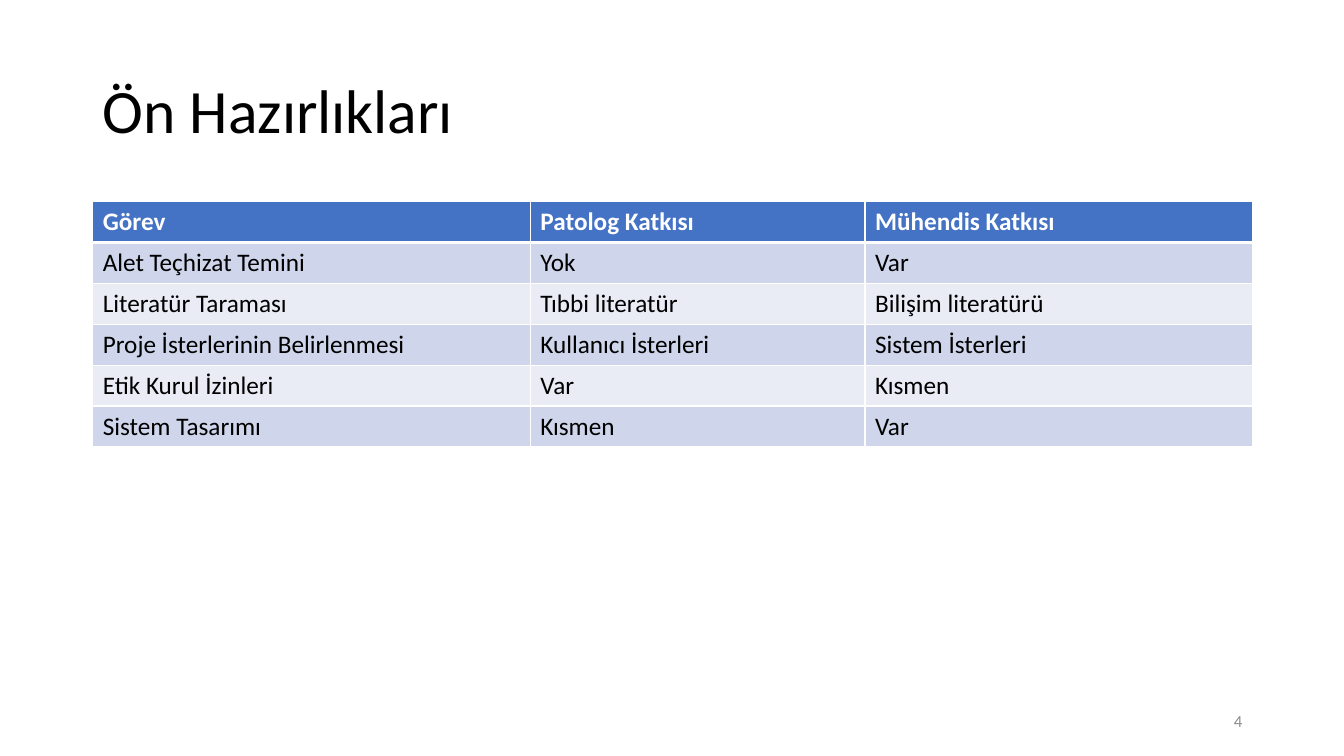
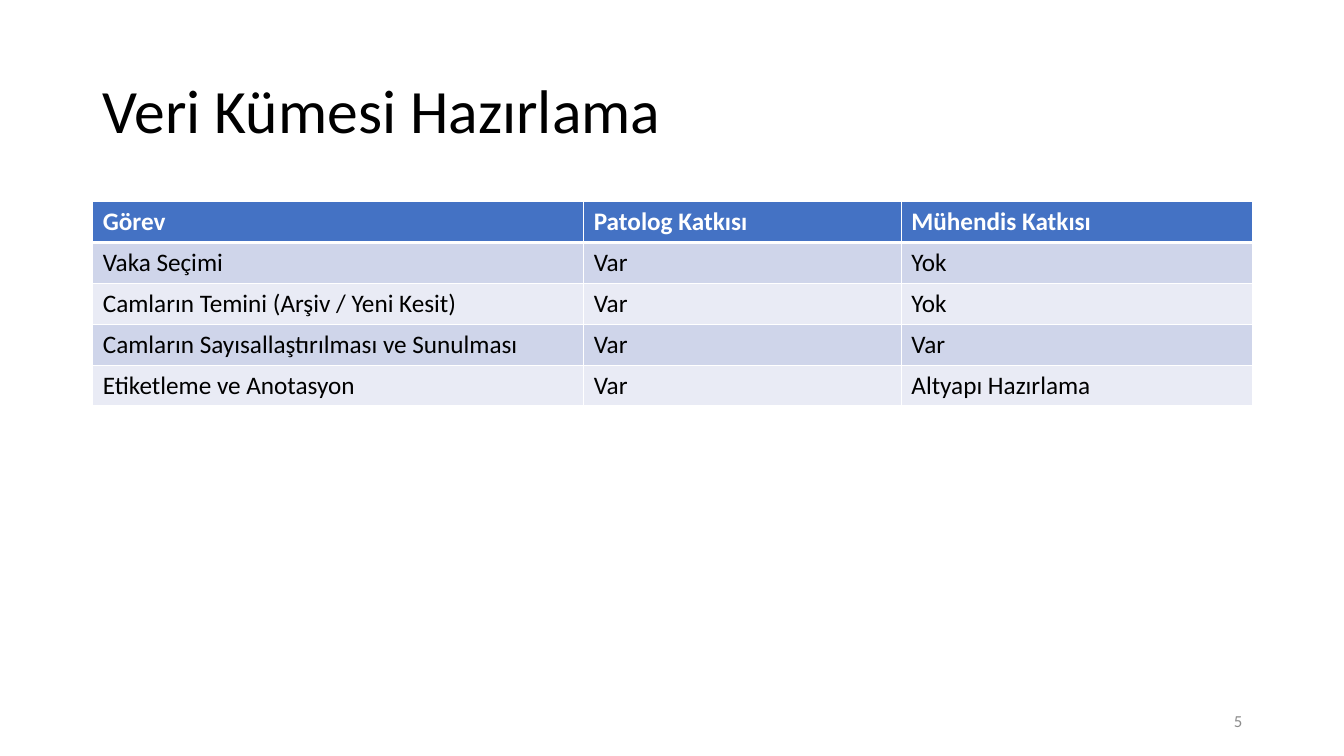
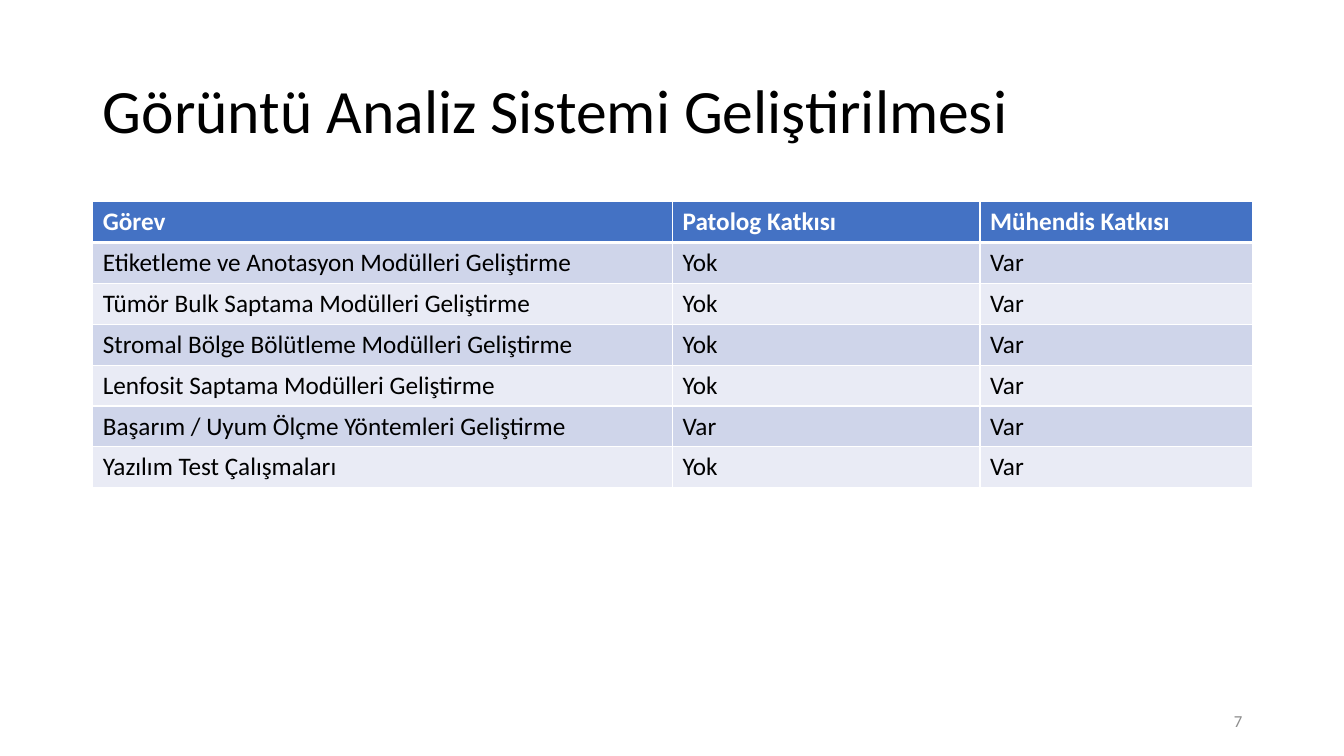
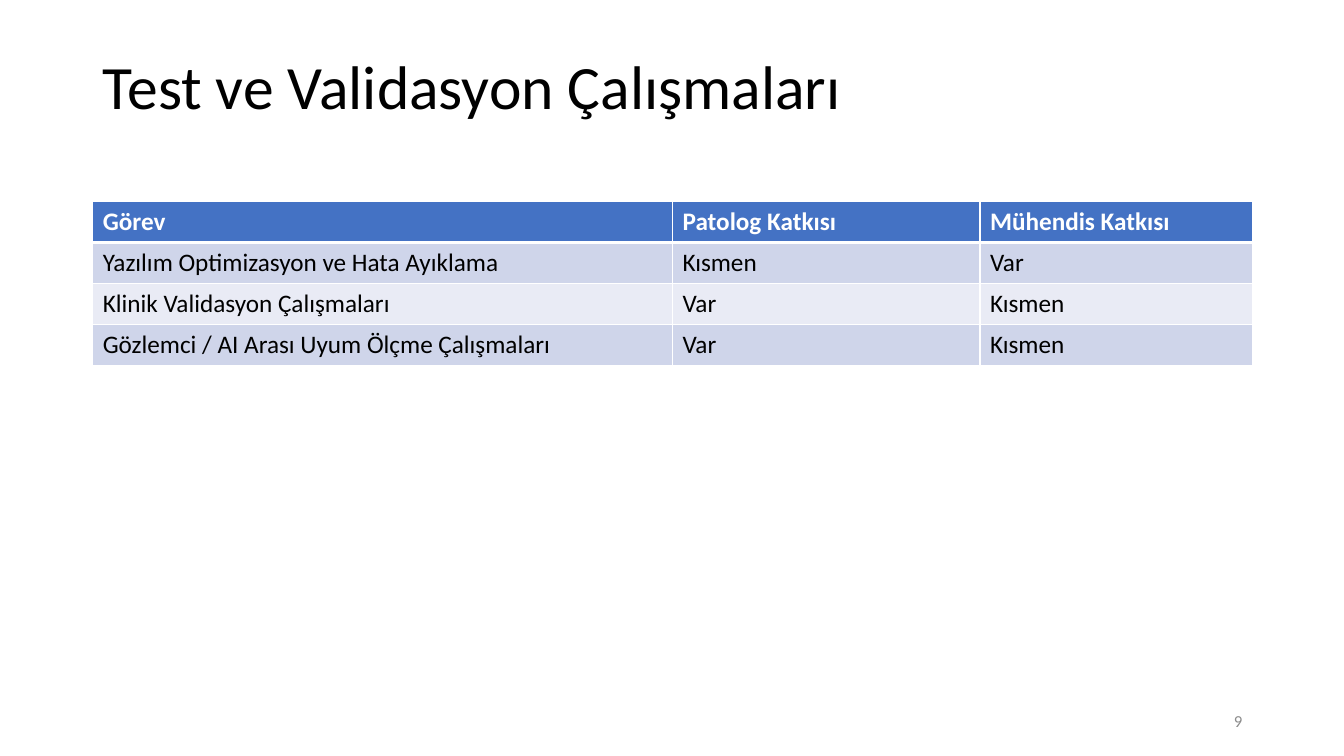
from dataclasses import dataclass

from pptx import Presentation
from pptx.dml.color import RGBColor
from pptx.enum.text import MSO_ANCHOR as Anchor, MSO_AUTO_SIZE as AutoSize, PP_ALIGN as Align
from pptx.oxml import parse_xml
from pptx.oxml.ns import nsdecls
from pptx.util import Inches, Pt


@dataclass(frozen=True)
class Theme:
    font: str = "Calibri"
    text: str = "000000"
    light: str = "FFFFFF"
    header: str = "4472C4"
    bands: tuple = ("CFD5EA", "E9EBF5")
    muted: str = "8C8C8C"
    title_size: int = 44
    table_size: int = 18
    number_size: int = 12
    thin: int = 1
    thick: int = 3


LEFT, WIDTH = 0.92, 11.5
TITLE_HEIGHT = 1.45
ROW_HEIGHT = 2.84 / 7
HEADINGS = ("Görev", "Patolog Katkısı", "Mühendis Katkısı")
PAGES = [
    dict(
        title="Ön Hazırlıkları",
        number=4,
        columns=(4.34, 3.32, 3.84),
        tasks=[
            ("Alet Teçhizat Temini", "Yok", "Var"),
            ("Literatür Taraması", "Tıbbi literatür", "Bilişim literatürü"),
            ("Proje İsterlerinin Belirlenmesi", "Kullanıcı İsterleri", "Sistem İsterleri"),
            ("Etik Kurul İzinleri", "Var", "Kısmen"),
            ("Sistem Tasarımı", "Kısmen", "Var"),
        ],
    ),
    dict(
        title="Veri Kümesi Hazırlama",
        number=5,
        columns=(4.87, 3.15, 3.48),
        tasks=[
            ("Vaka Seçimi", "Var", "Yok"),
            ("Camların Temini (Arşiv / Yeni Kesit)", "Var", "Yok"),
            ("Camların Sayısallaştırılması ve Sunulması", "Var", "Var"),
            ("Etiketleme ve Anotasyon", "Var", "Altyapı Hazırlama"),
        ],
    ),
    dict(
        title="Görüntü Analiz Sistemi Geliştirilmesi",
        number=7,
        columns=(5.75, 3.05, 2.7),
        tasks=[
            ("Etiketleme ve Anotasyon Modülleri Geliştirme", "Yok", "Var"),
            ("Tümör Bulk Saptama Modülleri Geliştirme", "Yok", "Var"),
            ("Stromal Bölge Bölütleme Modülleri Geliştirme", "Yok", "Var"),
            ("Lenfosit Saptama Modülleri Geliştirme", "Yok", "Var"),
            ("Başarım / Uyum Ölçme Yöntemleri Geliştirme", "Var", "Var"),
            ("Yazılım Test Çalışmaları", "Yok", "Var"),
        ],
    ),
    dict(
        title="Test ve Validasyon Çalışmaları",
        number=9,
        columns=(5.75, 3.05, 2.7),
        title_height=0.97,
        tasks=[
            ("Yazılım Optimizasyon ve Hata Ayıklama", "Kısmen", "Var"),
            ("Klinik Validasyon Çalışmaları", "Var", "Kısmen"),
            ("Gözlemci / AI Arası Uyum Ölçme Çalışmaları", "Var", "Kısmen"),
        ],
    ),
]


class TaskDeck:
    """Builds slides that each hold a title, a task table and a page number."""

    def __init__(self, theme):
        self.theme = theme
        self.deck = Presentation()
        self.deck.slide_width, self.deck.slide_height = Inches(13.33), Inches(7.5)
        self.page = None

    def add_page(self, title, number, columns, tasks, title_height=TITLE_HEIGHT):
        self.page = self.deck.slides.add_slide(self.deck.slide_layouts[5])
        self.add_title(title, title_height)
        self.add_table(columns, [HEADINGS, *tasks])
        self.add_number(number)

    def set_text(self, frame, text, size, color, bold=False, align=Align.LEFT):
        frame.text = text
        para = frame.paragraphs[0]
        para.alignment = align
        para.font.name, para.font.size, para.font.bold = self.theme.font, Pt(size), bold
        para.font.color.rgb = RGBColor.from_string(color)
        return para

    def add_title(self, text, height):
        box = self.page.shapes.title
        box.left, box.top, box.width, box.height = map(Inches, (LEFT, 0.4, WIDTH, height))
        frame = box.text_frame
        frame.vertical_anchor, frame.auto_size = Anchor.MIDDLE, AutoSize.NONE
        self.set_text(frame, text, self.theme.title_size, self.theme.text).line_spacing = 0.9

    def add_table(self, columns, rows):
        height = Inches(ROW_HEIGHT * len(rows))
        table = self.page.shapes.add_table(
            len(rows), len(columns), Inches(LEFT), Inches(2), Inches(WIDTH), height
        ).table
        for column, width in zip(table.columns, columns):
            column.width = Inches(width)
        for index, texts in enumerate(rows):
            table.rows[index].height = Inches(ROW_HEIGHT)
            for cell, text in zip(table.rows[index].cells, texts):
                self.style_cell(cell, text, index)

    def style_cell(self, cell, text, index):
        theme = self.theme
        is_header = index == 0
        self.add_borders(
            cell,
            top=theme.thick if index == 1 else theme.thin,
            bottom=theme.thick if is_header else theme.thin,
        )
        cell.fill.solid()
        fill = theme.header if is_header else theme.bands[(index - 1) % 2]
        cell.fill.fore_color.rgb = RGBColor.from_string(fill)
        color = theme.light if is_header else theme.text
        self.set_text(cell.text_frame, text, theme.table_size, color, bold=is_header)

    def add_borders(self, cell, top, bottom):
        properties = cell._tc.get_or_add_tcPr()
        thin = self.theme.thin
        for side, width in (("L", thin), ("R", thin), ("T", top), ("B", bottom)):
            properties.append(parse_xml(
                f'<a:ln{side} {nsdecls("a")} w="{Pt(width)}"><a:solidFill>'
                f'<a:srgbClr val="{self.theme.light}"/></a:solidFill></a:ln{side}>'
            ))

    def add_number(self, number):
        box = self.page.shapes.add_textbox(*map(Inches, (9.42, 6.95, 3, 0.4)))
        frame = box.text_frame
        frame.word_wrap, frame.vertical_anchor = True, Anchor.MIDDLE
        self.set_text(frame, str(number), self.theme.number_size, self.theme.muted, align=Align.RIGHT)


def main():
    builder = TaskDeck(Theme())
    for page in PAGES:
        builder.add_page(**page)
    builder.deck.save("out.pptx")


if __name__ == "__main__":
    main()
